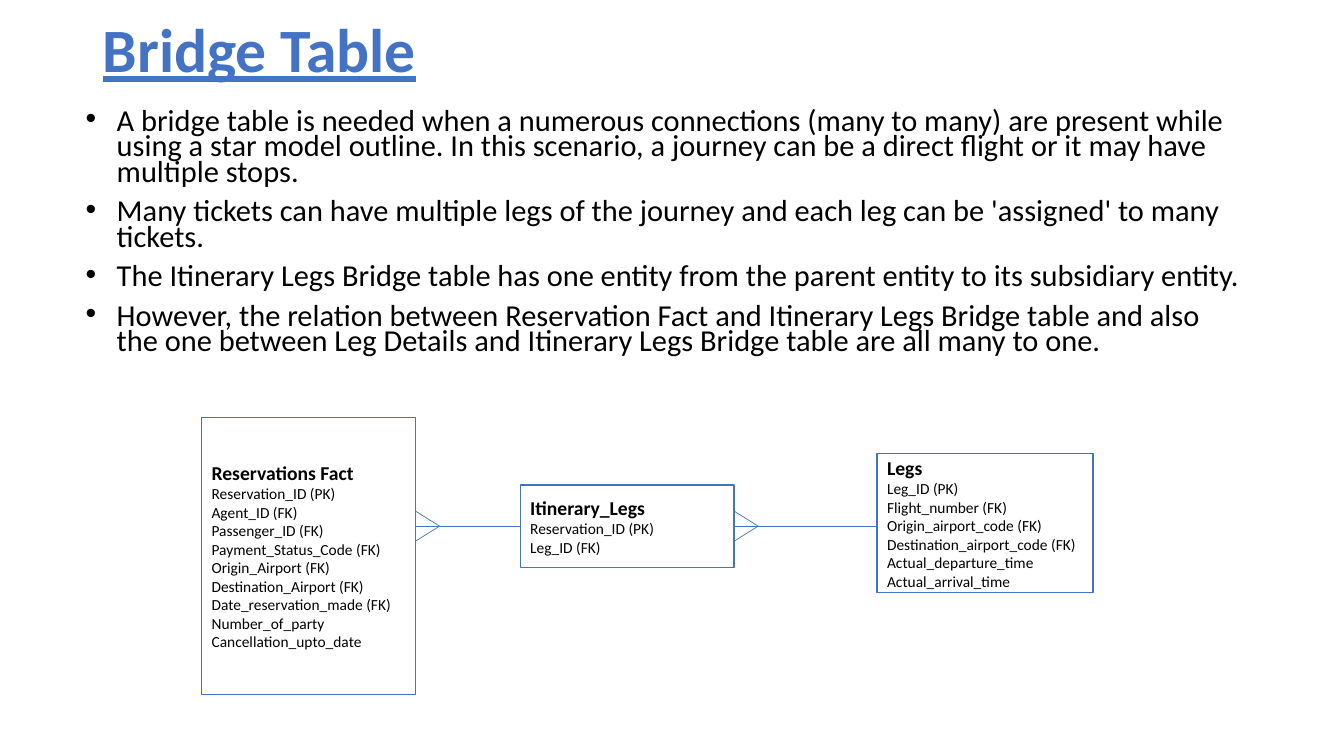
from lxml import etree
from pptx import Presentation
from pptx.dml.color import RGBColor
from pptx.enum.shapes import MSO_CONNECTOR, MSO_SHAPE
from pptx.enum.text import MSO_ANCHOR, PP_ALIGN
from pptx.oxml.ns import qn
from pptx.util import Inches, Pt

STRAIGHT = MSO_CONNECTOR.STRAIGHT
RECTANGLE = MSO_SHAPE.RECTANGLE
MIDDLE = MSO_ANCHOR.MIDDLE
LEFT = PP_ALIGN.LEFT
LEFT_SIDE, RIGHT_SIDE = 1, 3

FONT = "Calibri"
COLORS = {"accent": "4472C4", "text": "000000", "paper": "FFFFFF"}

TITLE_BOX = (0.92, 0, 11.5, 1.05)
BODY_BOX = (0.75, 1.05, 11.66, 3.08)
RESERVATIONS_BOX = (2, 4.14, 2.12, 2.75)
ITINERARY_BOX = (5.16, 4.81, 2.12, 0.82)
LEGS_BOX = (8.7, 4.5, 2.14, 1.38)

BULLETS = [
    "A bridge table is needed when a numerous connections (many to many) are present while "
    "using a star model outline. In this scenario, a journey can be a direct flight or it may "
    "have multiple stops.",
    "Many tickets can have multiple legs of the journey and each leg can be 'assigned' to many "
    "tickets.",
    "The Itinerary Legs Bridge table has one entity from the parent entity to its subsidiary "
    "entity.",
    "However, the relation between Reservation Fact and Itinerary Legs Bridge table and also "
    "the one between Leg Details and Itinerary Legs Bridge table are all many to one.",
]
RESERVATION_FIELDS = [
    "Reservation_ID (PK)", "Agent_ID (FK)", "Passenger_ID (FK)",
    "Payment_Status_Code (FK)", "Origin_Airport (FK)", "Destination_Airport (FK)",
    "Date_reservation_made (FK)", "Number_of_party", "Cancellation_upto_date",
]
ITINERARY_FIELDS = ["Reservation_ID (PK)", "Leg_ID (FK)"]
LEG_FIELDS = [
    "Leg_ID (PK)", "Flight_number (FK)", "Origin_airport_code (FK)",
    "Destination_airport_code (FK)", "Actual_departure_time", "Actual_arrival_time",
]


def color(name):
    return RGBColor.from_string(COLORS[name])


def add_span(para, text, size, shade="text", bold=False):
    span = para.add_run()
    span.text = text
    span.font.name = FONT
    span.font.size = Pt(size)
    span.font.bold = bold
    span.font.color.rgb = color(shade)
    return span


def add_paragraph(frame, index):
    return frame.add_paragraph() if index else frame.paragraphs[0]


def add_text_frame(page, box):
    frame = page.shapes.add_textbox(*map(Inches, box)).text_frame
    frame.word_wrap = True
    return frame


def set_bullet(para, indent):
    properties = para._p.get_or_add_pPr()
    properties.set("marL", str(Inches(indent)))
    properties.set("indent", str(-Inches(indent)))
    etree.SubElement(properties, qn("a:buFont")).set("typeface", "Arial")
    etree.SubElement(properties, qn("a:buChar")).set("char", "•")


def add_title(page, box):
    frame = add_text_frame(page, box)
    frame.vertical_anchor = MIDDLE
    para = frame.paragraphs[0]
    para.line_spacing = 0.9
    add_span(para, "Bridge Table", 44, "accent", True).font.underline = True


def add_body(page, box):
    frame = add_text_frame(page, box)
    for index, text in enumerate(BULLETS):
        para = add_paragraph(frame, index)
        para.line_spacing = 0.7
        para.space_before = Pt(10)
        set_bullet(para, 0.31)
        add_span(para, text, 21.7)


def add_entity(page, box, name, fields):
    entity = page.shapes.add_shape(RECTANGLE, *map(Inches, box))
    entity.shadow.inherit = False
    entity.fill.solid()
    entity.fill.fore_color.rgb = color("paper")
    entity.line.color.rgb = color("accent")
    entity.line.width = Pt(1)
    frame = entity.text_frame
    frame.word_wrap = True
    frame.vertical_anchor = MIDDLE
    for index, text in enumerate([name, *fields]):
        para = add_paragraph(frame, index)
        para.alignment = LEFT
        heading = index == 0
        add_span(para, text, 14 if heading else 11, bold=heading)
    return entity


def add_line(page, start, end):
    line = page.shapes.add_connector(STRAIGHT, *map(Inches, (*start, *end)))
    line.line.color.rgb = color("accent")
    line.line.width = Pt(0.5)
    etree.SubElement(line._element.spPr, qn("a:effectLst"))
    return line


def add_crow_foot(page, edge, middle):
    for offset in (-0.15, 0.15):
        add_line(page, (edge, middle + offset), (edge + 0.24, middle))


def add_diagram(page):
    add_entity(page, RESERVATIONS_BOX, "Reservations Fact", RESERVATION_FIELDS)
    itinerary = add_entity(page, ITINERARY_BOX, "Itinerary_Legs", ITINERARY_FIELDS)
    add_entity(page, LEGS_BOX, "Legs", LEG_FIELDS)

    left, top, width, height = ITINERARY_BOX
    middle = top + height / 2
    right = left + width
    reservations_edge = RESERVATIONS_BOX[0] + RESERVATIONS_BOX[2]

    reservation_link = add_line(page, (reservations_edge, middle), (left, middle))
    reservation_link.end_connect(itinerary, LEFT_SIDE)
    leg_link = add_line(page, (right, middle), (LEGS_BOX[0], middle))
    leg_link.begin_connect(itinerary, RIGHT_SIDE)
    for edge in (reservations_edge, right):
        add_crow_foot(page, edge, middle)


def main():
    deck = Presentation()
    deck.slide_width = Inches(13.33)
    deck.slide_height = Inches(7.5)
    page = deck.slides.add_slide(deck.slide_layouts[6])
    add_title(page, TITLE_BOX)
    add_body(page, BODY_BOX)
    add_diagram(page)
    deck.save("out.pptx")


if __name__ == "__main__":
    main()
